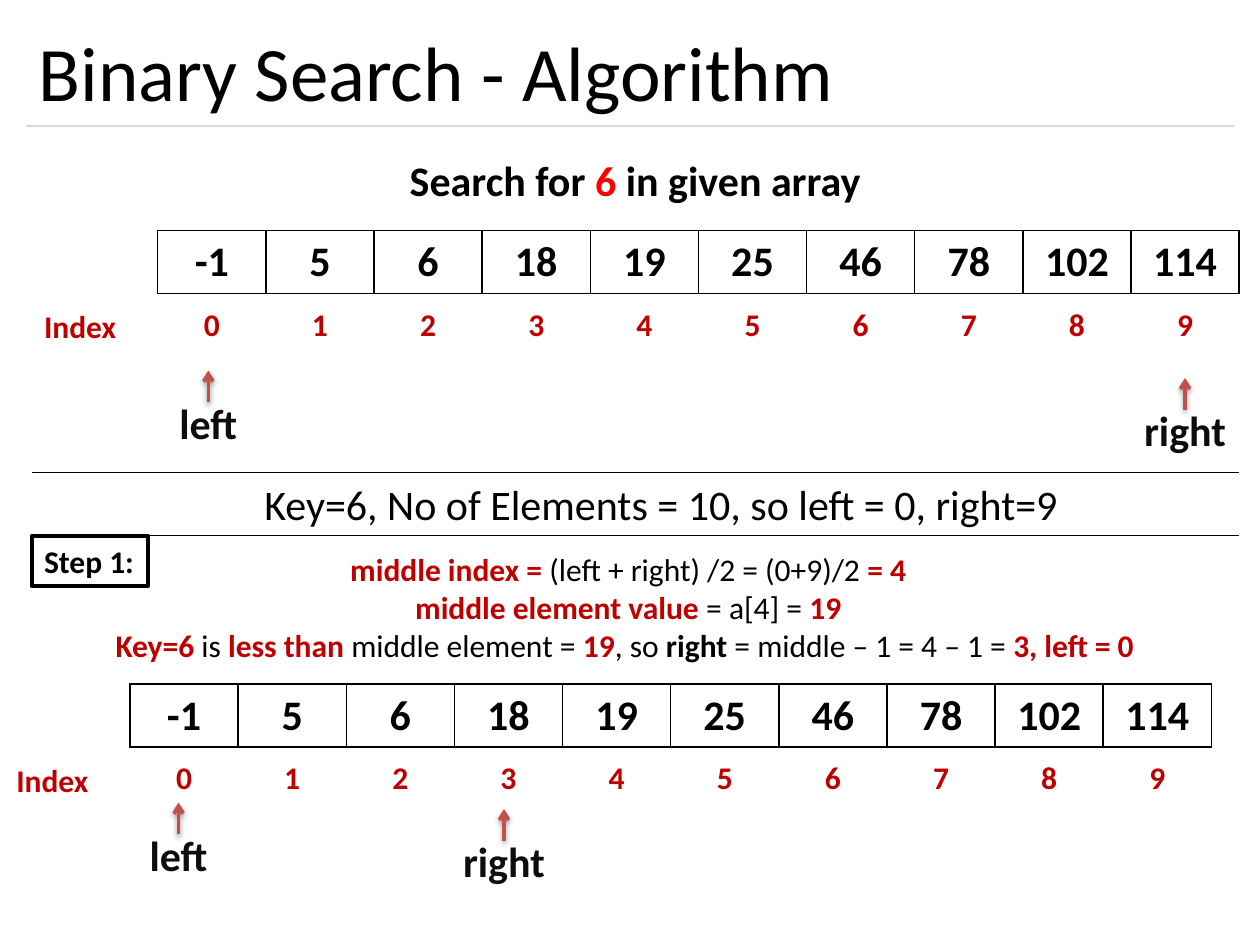
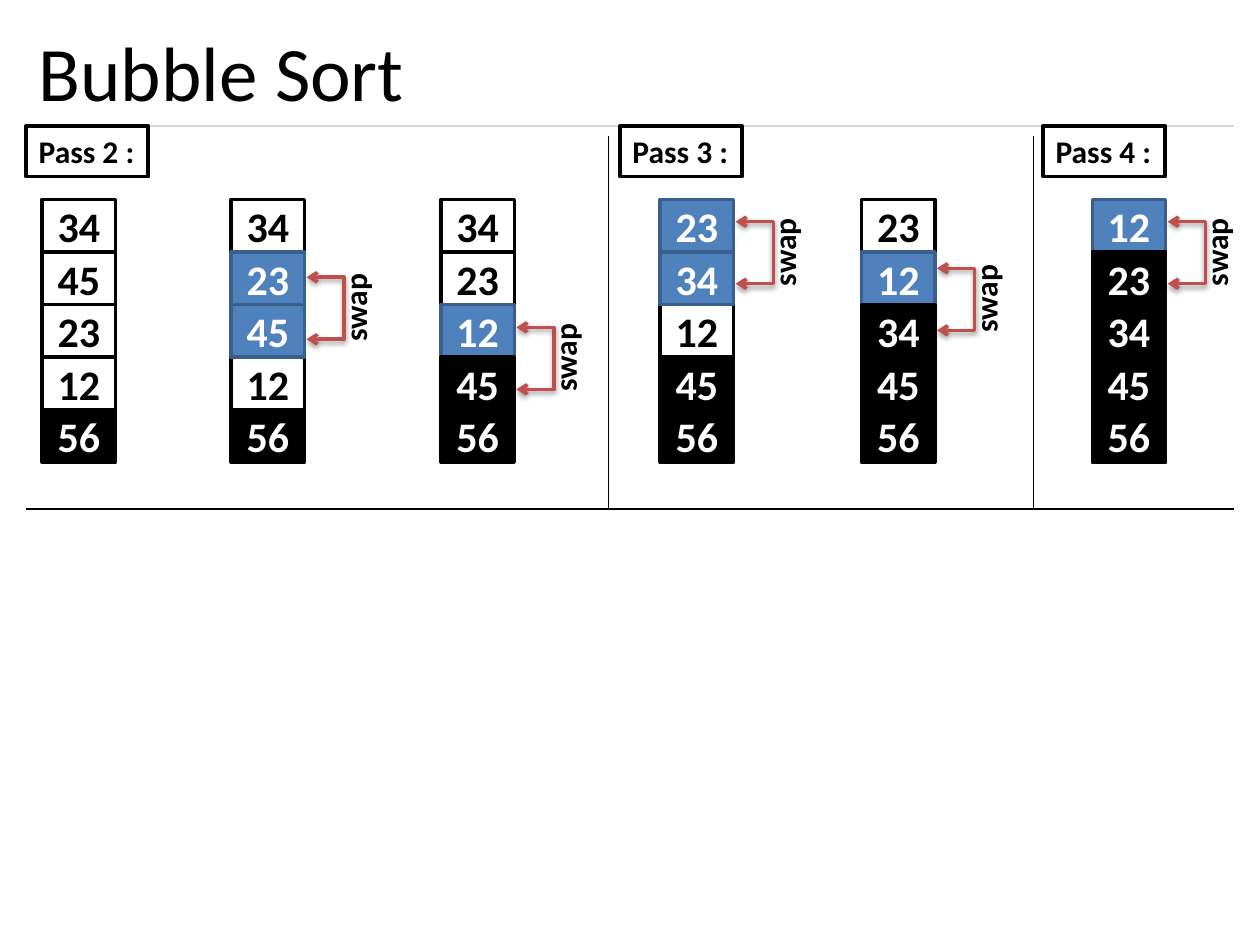
from lxml.etree import SubElement
from pptx import Presentation
from pptx.dml.color import RGBColor
from pptx.enum.shapes import MSO_CONNECTOR, MSO_SHAPE
from pptx.enum.text import MSO_ANCHOR, PP_ALIGN
from pptx.oxml.ns import qn
from pptx.util import Cm, Pt

BLACK = RGBColor(0, 0, 0)
WHITE = RGBColor(0xFF, 0xFF, 0xFF)
NEAR_BLACK = RGBColor(0x0D, 0x0D, 0x0D)
GREY = RGBColor(0xD9, 0xD9, 0xD9)
RED = RGBColor(0xFF, 0, 0)
DARK_RED = RGBColor(0xC0, 0, 0)
ARROW_RED = RGBColor(0xC0, 0x50, 0x4D)
BLUE = RGBColor(0x4F, 0x81, 0xBD)
DARK_BLUE = RGBColor(0x3A, 0x5F, 0x8C)

FONT = "Calibri"
NO_STYLE = "{2D5ABB26-0587-4C30-8999-92F81FD0307C}"
COLUMN_WIDTH = 2.18
CELL_WIDTH, CELL_HEIGHT = 1.48, 1.06
STACK_TOP = 4.02
CELL_STATES = {
    "P": (WHITE, BLACK, BLACK),
    "A": (BLUE, DARK_BLUE, WHITE),
    "S": (BLACK, BLACK, WHITE),
}
ARRAY = [-1, 5, 6, 18, 19, 25, 46, 78, 102, 114]


class SlideBuilder:
    def __init__(self, deck):
        self.deck = deck
        self.shapes = None

    def start(self, title):
        self.shapes = self.deck.slides.add_slide(self.deck.slide_layouts[6]).shapes
        self.line(0.53, 2.54, 24.87, 2.54, GREY)
        box = self.text(0.53, 0.3, 24.33, 2.24, title, 44, bold=False, wrap=True)
        box.text_frame.vertical_anchor = MSO_ANCHOR.MIDDLE

    def style(self, para, size, color, bold, align):
        para.alignment = align
        for span in para.runs:
            span.font.name = FONT
            span.font.size = Pt(size)
            span.font.bold = bold
            span.font.color.rgb = color

    def text(self, left, top, width, height, words, size, color=BLACK,
             bold=True, align=PP_ALIGN.LEFT, wrap=False):
        box = self.shapes.add_textbox(Cm(left), Cm(top), Cm(width), Cm(height))
        frame = box.text_frame
        frame.word_wrap = wrap
        frame.text = words
        self.style(frame.paragraphs[0], size, color, bold, align)
        return box

    def rich_text(self, left, top, width, height, lines, size):
        plain = "\n".join("".join(words for words, _, _ in line) for line in lines)
        box = self.text(left, top, width, height, plain, size)
        for para, line in zip(box.text_frame.paragraphs, lines):
            para.clear()
            for words, _, _ in line:
                para.add_run().text = words
            self.style(para, size, BLACK, False, PP_ALIGN.CENTER)
            for span, (_, color, bold) in zip(para.runs, line):
                span.font.color.rgb = color
                span.font.bold = bold

    def tag(self, left, top, width, words):
        box = self.text(left, top, width, 1.02, words, 18)
        box.line.color.rgb = BLACK
        box.line.width = Pt(2.25)

    def line(self, left, top, right, bottom, color=BLACK, width=0.75):
        line = self.shapes.add_connector(
            MSO_CONNECTOR.STRAIGHT, Cm(left), Cm(top), Cm(right), Cm(bottom))
        line.line.color.rgb = color
        line.line.width = Pt(width)
        SubElement(line._element.spPr, qn("a:effectLst"))
        return line

    def arrowheads(self, shape, *ends):
        properties = shape._element.spPr
        for end in ends:
            SubElement(properties.find(qn("a:ln")), qn(f"a:{end}"), type="arrow")
        shadow = SubElement(properties.find(qn("a:effectLst")), qn("a:outerShdw"),
                            blurRad="40000", dist="20000", dir="5400000", rotWithShape="0")
        color = SubElement(shadow, qn("a:srgbClr"), val=str(BLACK))
        SubElement(color, qn("a:alpha"), val="38000")

    def pointer(self, center, tip, words):
        self.text(center - 1.1, tip + 0.41, 2.2, 1.27, words, 24, NEAR_BLACK,
                  align=PP_ALIGN.CENTER)
        arrow = self.line(center, tip + 0.64, center, tip, ARROW_RED, 2)
        self.arrowheads(arrow, "tailEnd")

    def row_table(self, left, top, height, values, size, color, bordered):
        frame = self.shapes.add_table(1, len(values), Cm(left), Cm(top),
                                      Cm(COLUMN_WIDTH * len(values)), Cm(height))
        table = frame.table
        table.first_row = table.horz_banding = False
        table._tbl.tblPr.find(qn("a:tableStyleId")).text = NO_STYLE
        for column, value in zip(table.columns, values):
            column.width = Cm(COLUMN_WIDTH)
        for cell, value in zip(table.rows[0].cells, values):
            cell.text = str(value)
            self.style(cell.text_frame.paragraphs[0], size, color, True, PP_ALIGN.CENTER)
            if bordered:
                self.borders(cell)
            cell.fill.background()

    def borders(self, cell):
        properties = cell._tc.get_or_add_tcPr()
        for side in ("lnL", "lnR", "lnT", "lnB"):
            border = SubElement(properties, qn(f"a:{side}"), w=str(Pt(1)))
            fill = SubElement(border, qn("a:solidFill"))
            SubElement(fill, qn("a:srgbClr"), val=str(BLACK))

    def indexed_array(self, left, top):
        self.row_table(left, top, 1.27, ARRAY, 24, BLACK, True)
        self.row_table(left, top + 1.4, 1.04, range(len(ARRAY)), 18, DARK_RED, False)
        self.text(left - 2.54, top + 1.42, 1.98, 1.02, "Index", 18, DARK_RED)

    def cell(self, left, top, value, state):
        fill, outline, color = CELL_STATES[state]
        box = self.shapes.add_shape(MSO_SHAPE.RECTANGLE, Cm(left), Cm(top),
                                    Cm(CELL_WIDTH), Cm(CELL_HEIGHT))
        box.shadow.inherit = False
        box.fill.solid()
        box.fill.fore_color.rgb = fill
        box.line.color.rgb = outline
        box.line.width = Pt(2)
        frame = box.text_frame
        frame.text = str(value)
        frame.vertical_anchor = MSO_ANCHOR.MIDDLE
        self.style(frame.paragraphs[0], 24, color, True, PP_ALIGN.CENTER)

    def stack(self, left, values, states):
        rows = sorted(enumerate(zip(values, states)), key=lambda row: "PAS".index(row[1][1]))
        for index, (value, state) in rows:
            self.cell(left, STACK_TOP + index * CELL_HEIGHT, value, state)

    def swap(self, left, top):
        right, bottom = left + 0.76, top + 1.25
        builder = self.shapes.build_freeform(Cm(left), Cm(top))
        corners = [(right, top), (right, bottom), (left, bottom)]
        builder.add_line_segments([(Cm(x), Cm(y)) for x, y in corners], close=False)
        bracket = builder.convert_to_shape()
        bracket.fill.background()
        bracket.line.color.rgb = ARROW_RED
        bracket.line.width = Pt(2)
        bracket.shadow.inherit = False
        self.arrowheads(bracket, "headEnd", "tailEnd")
        label = self.text(left + 0.46, top - 0.2, 1.27, 1.63, "swap", 18,
                          align=PP_ALIGN.CENTER)
        label.text_frame._txBody.bodyPr.set("vert", "vert270")


def binary_search(page):
    page.start("Binary Search - Algorithm")
    page.rich_text(0.64, 3, 24.33, 1.27, [[
        ("Search for ", BLACK, True), ("6", RED, True), (" in given array", BLACK, True)]], 24)
    page.indexed_array(3.18, 4.65)
    for top in (9.53, 10.8):
        page.line(0.64, top, 24.97, top)
    page.text(5.08, 9.53, 16.66, 1.27,
              "Key=6, No of Elements = 10, so left = 0, right=9", 24, bold=False)
    page.rich_text(2.01, 10.97, 21.31, 2.57, [
        [("middle index =", DARK_RED, True),
         (" (left + right) /2 = (0+9)/2 ", BLACK, False),
         ("= 4", DARK_RED, True)],
        [("middle element value ", DARK_RED, True),
         ("= a[4] = ", BLACK, False),
         ("19", DARK_RED, True)],
        [("Key=6", DARK_RED, True),
         (" is ", BLACK, False),
         ("less than ", DARK_RED, True),
         ("middle element = ", BLACK, False),
         ("19", DARK_RED, True),
         (", so ", BLACK, False),
         ("right", BLACK, True),
         (" = middle – 1 = 4 – 1 = ", BLACK, False),
         ("3, left = 0 ", DARK_RED, True)],
    ], 18)
    page.indexed_array(2.62, 13.79)
    for center, tip, words in [(4.2, 7.47, "left"), (23.89, 7.62, "right"),
                               (3.6, 16.18, "left"), (10.16, 16.31, "right")]:
        page.pointer(center, tip, words)
    page.tag(0.64, 10.8, 2.34, "Step 1:")


def bubble_sort(page):
    page.start("Bubble Sort")
    for number, left in enumerate((0.53, 12.5, 21.03), start=2):
        page.tag(left, 2.54, 2.46, f"Pass {number} :")
    page.line(0.53, 10.26, 24.87, 10.26)
    for divider in (12.27, 20.83):
        page.line(divider, 10.24, divider, 2.74)
    stacks = [
        (0.85, (34, 45, 23, 12, 56), "PPPPS", None),
        (4.66, (34, 23, 45, 12, 56), "PAAPS", 5.59),
        (8.89, (34, 23, 12, 45, 56), "PPASS", 6.6),
        (13.31, (23, 34, 12, 45, 56), "AAPSS", 4.47),
        (17.37, (23, 12, 34, 45, 56), "PASSS", 5.41),
        (22.02, (12, 23, 34, 45, 56), "ASSSS", 4.47),
    ]
    for left, values, states, swap_top in stacks:
        if swap_top:
            page.swap(left + CELL_WIDTH + 0.04, swap_top)
        page.stack(left, values, states)


def main():
    deck = Presentation()
    deck.slide_width, deck.slide_height = Cm(25.4), Cm(19.05)
    page = SlideBuilder(deck)
    binary_search(page)
    bubble_sort(page)
    deck.save("out.pptx")


if __name__ == "__main__":
    main()
